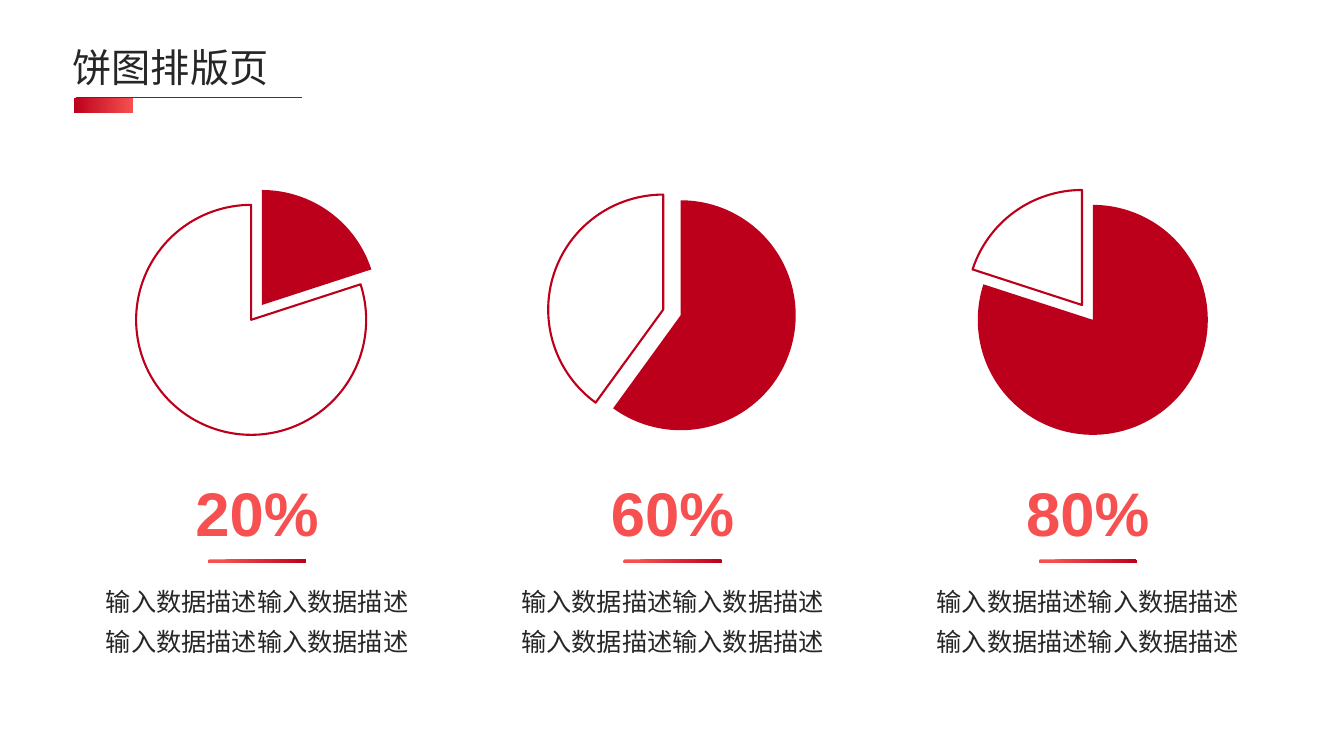
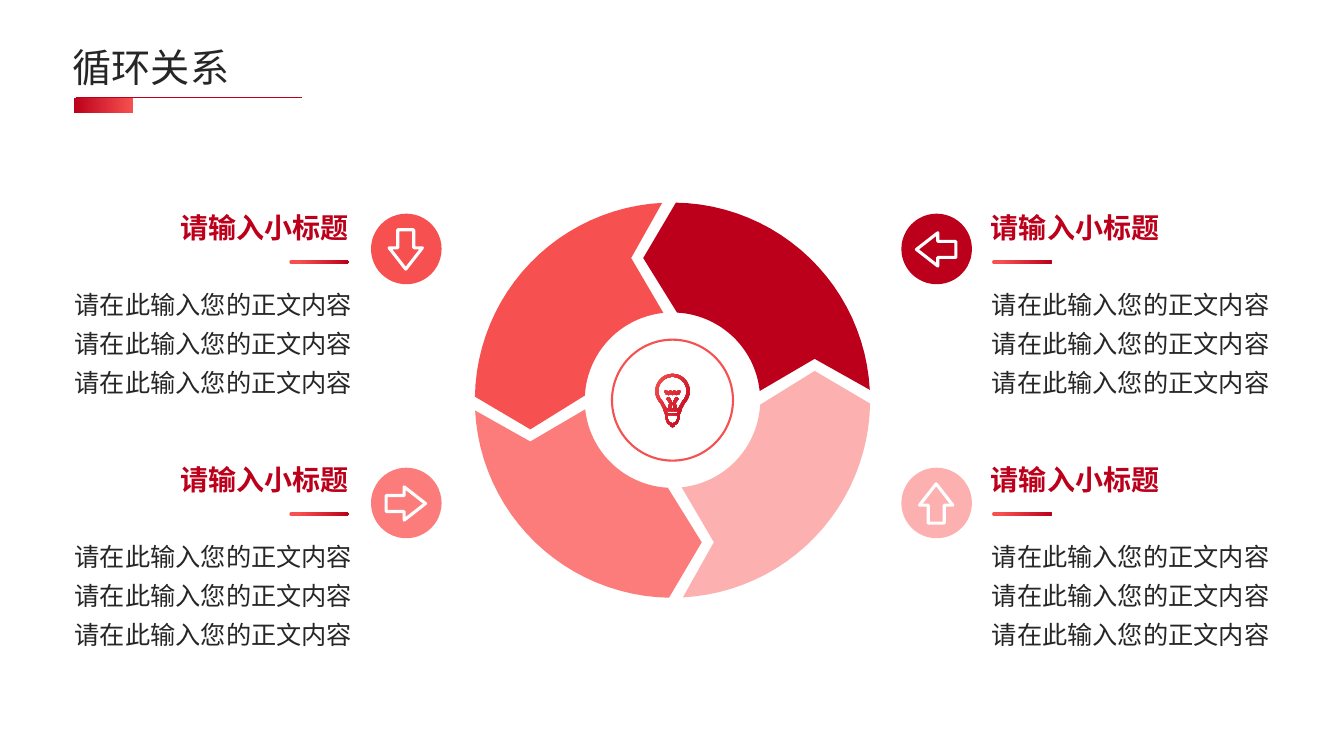
"""Build a pie-chart slide and a cycle slide that share one title layout."""
import math

from lxml import etree
from pptx import Presentation
from pptx.chart.data import CategoryChartData
from pptx.dml.color import RGBColor
from pptx.enum.chart import XL_CHART_TYPE
from pptx.enum.shapes import MSO_CONNECTOR, MSO_SHAPE
from pptx.enum.text import MSO_ANCHOR, MSO_AUTO_SIZE, PP_ALIGN
from pptx.oxml.ns import qn
from pptx.util import Inches, Pt

PIE = XL_CHART_TYPE.PIE
STRAIGHT = MSO_CONNECTOR.STRAIGHT
RECTANGLE = MSO_SHAPE.RECTANGLE
ROUNDED = MSO_SHAPE.ROUNDED_RECTANGLE
OVAL = MSO_SHAPE.OVAL
DOWN_ARROW = MSO_SHAPE.DOWN_ARROW
LEFT, CENTER, RIGHT = PP_ALIGN.LEFT, PP_ALIGN.CENTER, PP_ALIGN.RIGHT
MIDDLE = MSO_ANCHOR.MIDDLE
NO_AUTOFIT = MSO_AUTO_SIZE.NONE

DEEP_RED, CORAL, SALMON, PINK = "BC001B", "F65050", "FC7C7C", "FDB0B0"
WHITE, INK = "FFFFFF", "262626"
LATIN_FONT, CHINESE_FONT = "Arial", "Noto Sans CJK SC"
ACCENT = ((0.15, CORAL), (1, DEEP_RED))

PIE_TITLE = "饼图排版页"
PIE_PERCENTS = [20, 60, 80]
PIE_LINES = ["输入数据描述输入数据描述"] * 2
PIE_CENTER, PIE_PITCH = 2.55, 4.12

CYCLE_TITLE = "循环关系"
CYCLE_HEADING = "请输入小标题"
CYCLE_LINES = ["请在此输入您的正文内容"] * 3
CYCLE_CENTER = (6.67, 3.97)
OUTER_RADIUS, INNER_RADIUS = 1.96, 0.87
QUADRANTS = [(DEEP_RED, "right", 0), (PINK, "right", 1),
             (SALMON, "left", 1), (CORAL, "left", 0)]
SIDES = {
    "left": dict(align=RIGHT, circle=3.68, bar=2.87, heading=(0.77, 2.79), body=(0.57, 3.02)),
    "right": dict(align=LEFT, circle=8.94, bar=9.84, heading=(9.73, 2.95), body=(9.74, 3)),
}
ROW_TOPS = [2.04, 4.54]
CIRCLE_TOPS = [2.12, 4.64]


def arc(radius, start, end, steps=24):
    """Return points on an arc about the origin, with angles in degrees."""
    angles = [math.radians(start + (end - start) * step / steps) for step in range(steps + 1)]
    return [(radius * math.cos(angle), radius * math.sin(angle)) for angle in angles]


BULB_HALVES = [
    arc(0.17, -90, 45) + [(0.09, 0.18), (0.09, 0.19), (0.08, 0.21), (0.07, 0.24),
                          (0.07, 0.27), (0.05, 0.32), (0.02, 0.34), (0.02, 0.35), (0, 0.36)],
    arc(0.14, -90, 45) + [(0.06, 0.17), (0.04, 0.17), (0.04, 0.15), (0.03, 0.12),
                          (0.06, 0.08), (0.05, 0.06), (0.03, 0.06), (0, 0.12)],
    [(0, 0.13), (0.01, 0.15), (0.01, 0.17), (0, 0.17)],
    [(0, 0.2), (0.06, 0.2), (0.05, 0.22), (0, 0.22)],
    [(0, 0.24), (0.05, 0.24), (0.05, 0.27), (0.03, 0.31), (0, 0.32)],
    [(0, 0.01), (0.02, -0.01), (0.04, 0.01), (0.06, -0.01), (0.08, 0),
     (0.07, 0.03), (0.04, 0.04), (0.02, 0.03), (0, 0.04)],
]


def color(value):
    """Turn a hex string into a colour."""
    return RGBColor.from_string(value)


def paint(fill, value, angle=0):
    """Apply no fill, one colour, or two gradient stops."""
    if value is None:
        fill.background()
    elif isinstance(value, str):
        fill.solid()
        fill.fore_color.rgb = color(value)
    else:
        fill.gradient()
        fill.gradient_angle = angle
        for stop, (position, tint) in zip(fill.gradient_stops, value):
            stop.position = position
            stop.color.rgb = color(tint)


def style(shape, fill=None, line=None, weight=1, angle=0):
    """Set the fill and outline of a shape and drop its shadow."""
    shape.shadow.inherit = False
    paint(shape.fill, fill, angle)
    paint(shape.line.fill, line)
    if line:
        shape.line.width = Pt(weight)
    return shape


def add_shape(slide, kind, left, top, width, height, **look):
    """Add a styled preset shape."""
    box = (Inches(value) for value in (left, top, width, height))
    return style(slide.shapes.add_shape(kind, *box), **look)


def add_outline(slide, contours, origin, **look):
    """Add a styled freeform made of closed contours about an origin."""
    points = [[(Inches(origin[0] + x), Inches(origin[1] + y)) for x, y in contour]
              for contour in contours]
    builder = slide.shapes.build_freeform(*points[0][0], scale=1.0)
    for index, contour in enumerate(points):
        if index:
            builder.move_to(*contour[0])
        builder.add_line_segments(contour[1:], close=True)
    return style(builder.convert_to_shape(), **look)


def write(frame, lines, size=18, font=LATIN_FONT, fill=INK, bold=False, align=LEFT, spacing=1.3):
    """Fill a text frame with formatted paragraphs."""
    frame.word_wrap = True
    frame.auto_size = NO_AUTOFIT
    for index, line in enumerate(lines):
        paragraph = frame.add_paragraph() if index else frame.paragraphs[0]
        paragraph.alignment = align
        paragraph.line_spacing = spacing
        run = paragraph.add_run()
        run.text = line
        run.font.size, run.font.bold, run.font.name = Pt(size), bold, font
        paint(run.font.fill, fill)
        properties = run.font._element
        properties.set("lang", "zh-CN")
        latin = properties.find(qn("a:latin"))
        latin.addnext(etree.Element(qn("a:ea"), typeface=CHINESE_FONT))


def add_text(slide, left, top, width, height, lines, **look):
    """Add a text box with formatted lines."""
    box = slide.shapes.add_textbox(Inches(left), Inches(top), Inches(width), Inches(height))
    write(box.text_frame, lines, **look)


def add_accent_bar(slide, left, top, width):
    """Add the thin rounded gradient bar."""
    bar = add_shape(slide, ROUNDED, left, top, width, 0.04, fill=ACCENT)
    bar.adjustments[0] = 0.5


def prepare_layout(layout, slide):
    """Place the title and move the title rule and band from a slide to the layout."""
    for placeholder in list(layout.placeholders):
        if placeholder.placeholder_format.idx:
            placeholder._element.getparent().remove(placeholder._element)
        else:
            placeholder.left, placeholder.top = Inches(0.62), Inches(0.35)
            placeholder.width, placeholder.height = Inches(8.89), Inches(0.69)
    rule = slide.shapes.add_connector(STRAIGHT, Inches(0.75), Inches(0.97), Inches(3), Inches(0.97))
    rule.line.width = Pt(0.5)
    paint(rule.line.fill, DEEP_RED)
    etree.SubElement(rule._element.spPr, qn("a:effectLst"))
    band = add_shape(slide, RECTANGLE, 0.73, 0.97, 0.59, 0.15,
                     fill=((0, DEEP_RED), (1, CORAL)))
    for shape in (rule, band):
        layout.shapes._spTree.append(shape._element)


def set_title(slide, text):
    """Write the slide title."""
    frame = slide.shapes.title.text_frame
    frame.vertical_anchor = MIDDLE
    write(frame, [text], size=28, font=CHINESE_FONT, spacing=0.9)


def add_pie(slide, center, percent):
    """Add an exploded pie with one filled and one hollow slice."""
    data = CategoryChartData(number_format="General")
    data.categories = ["1", "2"]
    data.add_series("Series 1", [percent, 100 - percent])
    frame = slide.shapes.add_chart(PIE, Inches(center - 2.44), Inches(1.73),
                                   Inches(4.87), Inches(2.74), data)
    chart = frame.chart
    chart.has_title = chart.has_legend = False
    chart.font.name, chart.font.size = LATIN_FONT, Pt(10)
    chart.font.color.rgb = color("000000")
    plot = chart.plots[0]
    plot.vary_by_categories = True
    series = plot.series[0]
    for index, (fill, line) in enumerate([(DEEP_RED, None), (None, DEEP_RED)]):
        look = series.points[index].format
        paint(look.fill, fill)
        paint(look.line.fill, line)
        if line:
            look.line.width = Pt(1.5)
    explosion = etree.Element(qn("c:explosion"), val="8")
    series._element.find(qn("c:dPt")).addprevious(explosion)


def build_pies(slide):
    """Fill the slide with three pies and their captions."""
    set_title(slide, PIE_TITLE)
    for index, percent in enumerate(PIE_PERCENTS):
        center = PIE_CENTER + index * PIE_PITCH
        add_pie(slide, center, percent)
        add_text(slide, center - 0.77, 4.44, 1.54, 0.97, [f"{percent}%"],
                 size=44, fill=ACCENT, bold=True, align=CENTER)
        add_accent_bar(slide, center - 0.49, 5.55, 0.98)
        add_text(slide, center - 1.62, 5.68, 3.24, 0.85, PIE_LINES, align=CENTER)


def add_arrow(slide, left, top, rotation):
    """Add a hollow white arrow with round corners inside a circle."""
    arrow = add_shape(slide, DOWN_ARROW, left + 0.18, top + 0.16, 0.33, 0.39,
                      line=WHITE, weight=2.25)
    arrow.adjustments[0], arrow.adjustments[1] = 0.48, 0.64
    arrow.rotation = rotation
    etree.SubElement(arrow.line._get_or_add_ln(), qn("a:round"))


def build_cycle(slide):
    """Fill the slide with the four-part ring and its captions."""
    set_title(slide, CYCLE_TITLE)
    segment = (arc(OUTER_RADIUS, -89, -3) + [(1.41, -0.41)]
               + arc(INNER_RADIUS, -6, -87) + [(-0.29, -1.41)])
    for turn, (fill, side_name, row) in enumerate(QUADRANTS):
        side, top = SIDES[side_name], ROW_TOPS[row]
        align = side["align"]
        add_outline(slide, [segment], CYCLE_CENTER, fill=fill)
        segment = [(-y, x) for x, y in segment]
        add_shape(slide, OVAL, side["circle"], CIRCLE_TOPS[row], 0.7, 0.7, fill=fill)
        add_arrow(slide, side["circle"], CIRCLE_TOPS[row], 90 * (turn + 1) % 360)
        left, width = side["heading"]
        add_text(slide, left, top, width, 0.44, [CYCLE_HEADING], size=20, font=CHINESE_FONT,
                 fill=DEEP_RED, bold=True, align=align, spacing=1.0)
        add_accent_bar(slide, side["bar"], top + 0.54, 0.59)
        left, width = side["body"]
        add_text(slide, left, top + 0.69, width, 1.24, CYCLE_LINES, align=align)
    add_shape(slide, OVAL, 6.07, 3.37, 1.2, 1.2, line=CORAL, weight=1.5)
    bulb = [half + [(-x, y) for x, y in reversed(half)] for half in BULB_HALVES]
    add_outline(slide, bulb, (6.67, 3.88), fill=((0, CORAL), (1, DEEP_RED)), angle=330)


def main():
    """Create and save the presentation."""
    presentation = Presentation()
    presentation.slide_width, presentation.slide_height = Inches(13.33), Inches(7.5)
    layout = presentation.slide_layouts[5]
    slides = [presentation.slides.add_slide(layout) for _ in range(2)]
    prepare_layout(layout, slides[0])
    build_pies(slides[0])
    build_cycle(slides[1])
    presentation.save("out.pptx")


if __name__ == "__main__":
    main()
